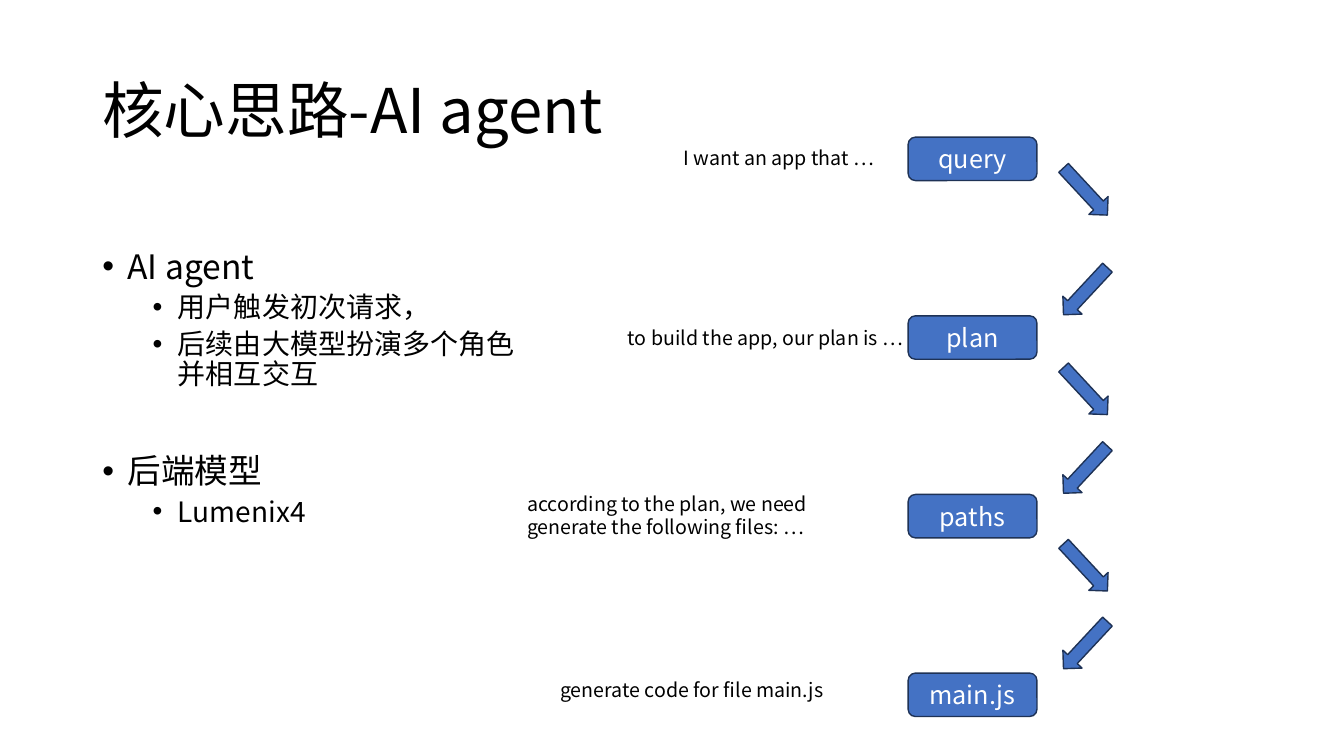
from lxml import etree
from pptx import Presentation
from pptx.dml.color import RGBColor
from pptx.enum.shapes import MSO_SHAPE
from pptx.enum.text import MSO_ANCHOR, MSO_AUTO_SIZE, PP_ALIGN
from pptx.oxml.ns import qn
from pptx.util import Pt

ROUNDED = MSO_SHAPE.ROUNDED_RECTANGLE
DOWN_ARROW = MSO_SHAPE.DOWN_ARROW
MIDDLE = MSO_ANCHOR.MIDDLE
TOP = MSO_ANCHOR.TOP
GROW = MSO_AUTO_SIZE.SHAPE_TO_FIT_TEXT
LEFT = PP_ALIGN.LEFT
CENTER = PP_ALIGN.CENTER

COLORS = {"text": "000000", "fill": "4472C4", "line": "1E3256", "label": "FFFFFF"}
FONT = "Noto Sans CJK SC"


class AgentSlide:
    def __init__(self, presentation):
        self.slide = presentation.slides.add_slide(presentation.slide_layouts[6])

    def color(self, name):
        return RGBColor.from_string(COLORS[name])

    def format_runs(self, paragraph, size, color="text"):
        for run in paragraph.runs:
            run.font.name = FONT
            run.font.size = Pt(size)
            run.font.color.rgb = self.color(color)
            east_asian = etree.SubElement(run.font._element, qn("a:ea"))
            east_asian.set("typeface", FONT)

    def text_box(self, left, top, width, height, anchor=TOP):
        shape = self.slide.shapes.add_textbox(Pt(left), Pt(top), Pt(width), Pt(height))
        shape.text_frame.word_wrap = True
        shape.text_frame.vertical_anchor = anchor
        return shape.text_frame

    def title(self, text, left, top, width, height):
        text_frame = self.text_box(left, top, width, height, MIDDLE)
        text_frame.text = text
        paragraph = text_frame.paragraphs[0]
        paragraph.line_spacing = 0.9
        self.format_runs(paragraph, 44)

    def bullets(self, items, left, top, width, height):
        text_frame = self.text_box(left, top, width, height)
        for index, (level, space_before, text) in enumerate(items):
            paragraph = text_frame.paragraphs[0] if index == 0 else text_frame.add_paragraph()
            paragraph.text = text
            paragraph.level = level
            paragraph.line_spacing = 0.9
            paragraph.space_before = Pt(space_before)
            properties = paragraph._p.get_or_add_pPr()
            properties.set("marL", str(Pt(18 + 36 * level)))
            properties.set("indent", str(Pt(-18)))
            etree.SubElement(properties, qn("a:buFont")).set("typeface", "Arial")
            etree.SubElement(properties, qn("a:buChar")).set("char", "•")
            self.format_runs(paragraph, 20 if level else 24)

    def caption(self, text, left, top, width, height, alignment):
        text_frame = self.text_box(left, top, width, height)
        text_frame.auto_size = GROW
        text_frame.text = text
        text_frame.paragraphs[0].alignment = alignment
        self.format_runs(text_frame.paragraphs[0], 14)

    def block(self, kind, left, top, width, height):
        shape = self.slide.shapes.add_shape(kind, Pt(left), Pt(top), Pt(width), Pt(height))
        shape.shadow.inherit = False
        shape.fill.solid()
        shape.fill.fore_color.rgb = self.color("fill")
        shape.line.color.rgb = self.color("line")
        shape.line.width = Pt(1)
        return shape

    def step(self, text, left, top):
        text_frame = self.block(ROUNDED, left, top, 92, 31).text_frame
        text_frame.text = text
        text_frame.vertical_anchor = MIDDLE
        text_frame.paragraphs[0].alignment = CENTER
        self.format_runs(text_frame.paragraphs[0], 18, "label")

    def arrow(self, left, top, rotation):
        self.block(DOWN_ARROW, left, top, 18.7, 46).rotation = rotation


def main():
    presentation = Presentation()
    presentation.slide_width = Pt(960)
    presentation.slide_height = Pt(540)
    agent = AgentSlide(presentation)

    agent.title("核心思路-AI agent", 66, 28.8, 828, 104.4)
    agent.bullets([
        (0, 0, "AI agent"),
        (1, 5, "用户触发初次请求，"),
        (1, 5, "后续由大模型扮演多个角色并相互交互"),
        (0, 45.5, "后端模型"),
        (1, 5, "Lumenix4"),
    ], 66, 175, 311, 311)

    for index, name in enumerate(["query", "plan", "paths", "main.js"]):
        agent.step(name, 648.7, 98 + 127.6 * index)

    for index, top in enumerate([113.8, 185, 256.3, 312.5, 382.3, 437.8]):
        agent.arrow(766, top, 43 if index % 2 else 317.1)

    for text, left, top, width, height, alignment in [
        ("I want an app that …", 458.6, 100.8, 195.8, 24.5, CENTER),
        ("to build the app, our plan is …", 441.4, 229, 253.4, 24.5, LEFT),
        ("according to the plan, we need generate the following files: …",
         369.4, 347.8, 266.4, 41, LEFT),
        ("generate code for file main.js", 393, 481, 266.4, 24.5, LEFT),
    ]:
        agent.caption(text, left, top, width, height, alignment)

    presentation.save("out.pptx")


if __name__ == "__main__":
    main()
